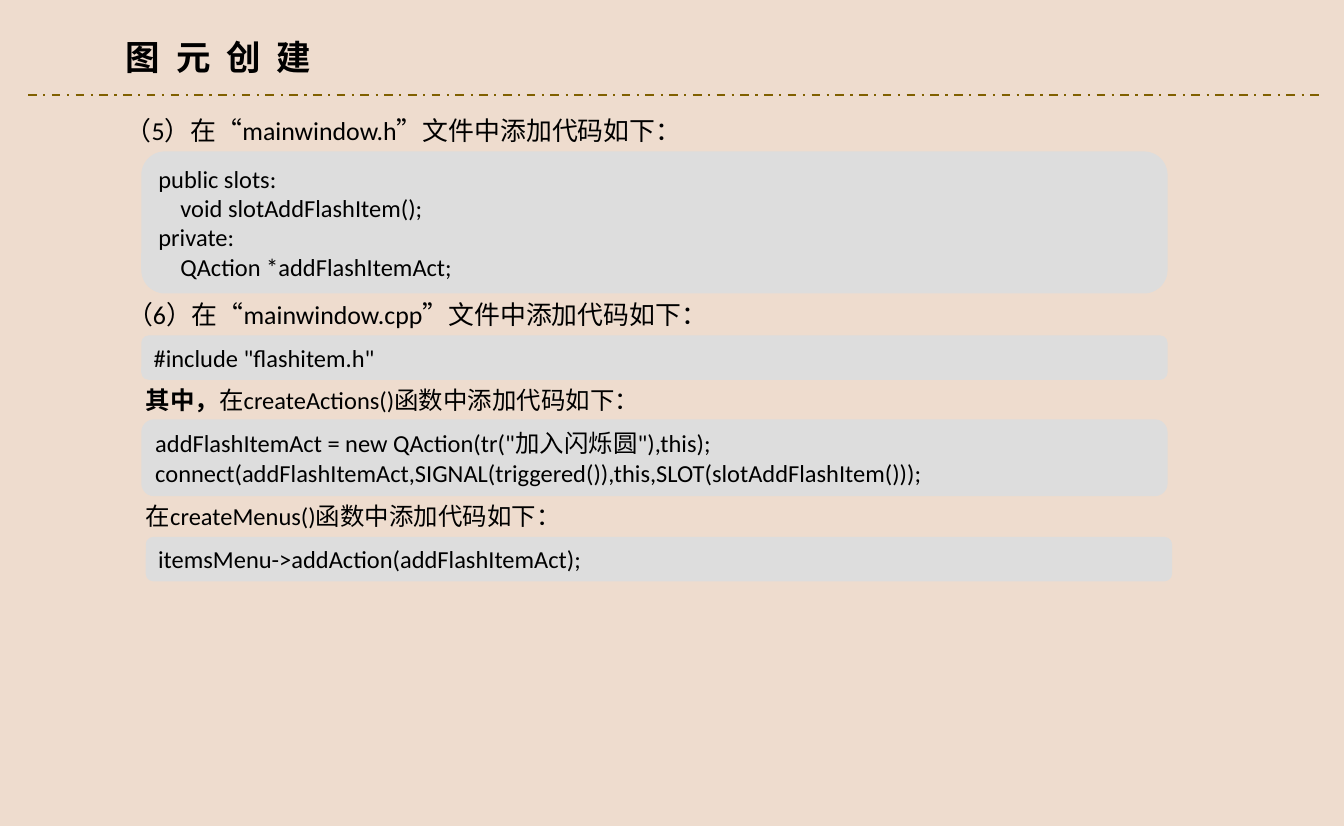
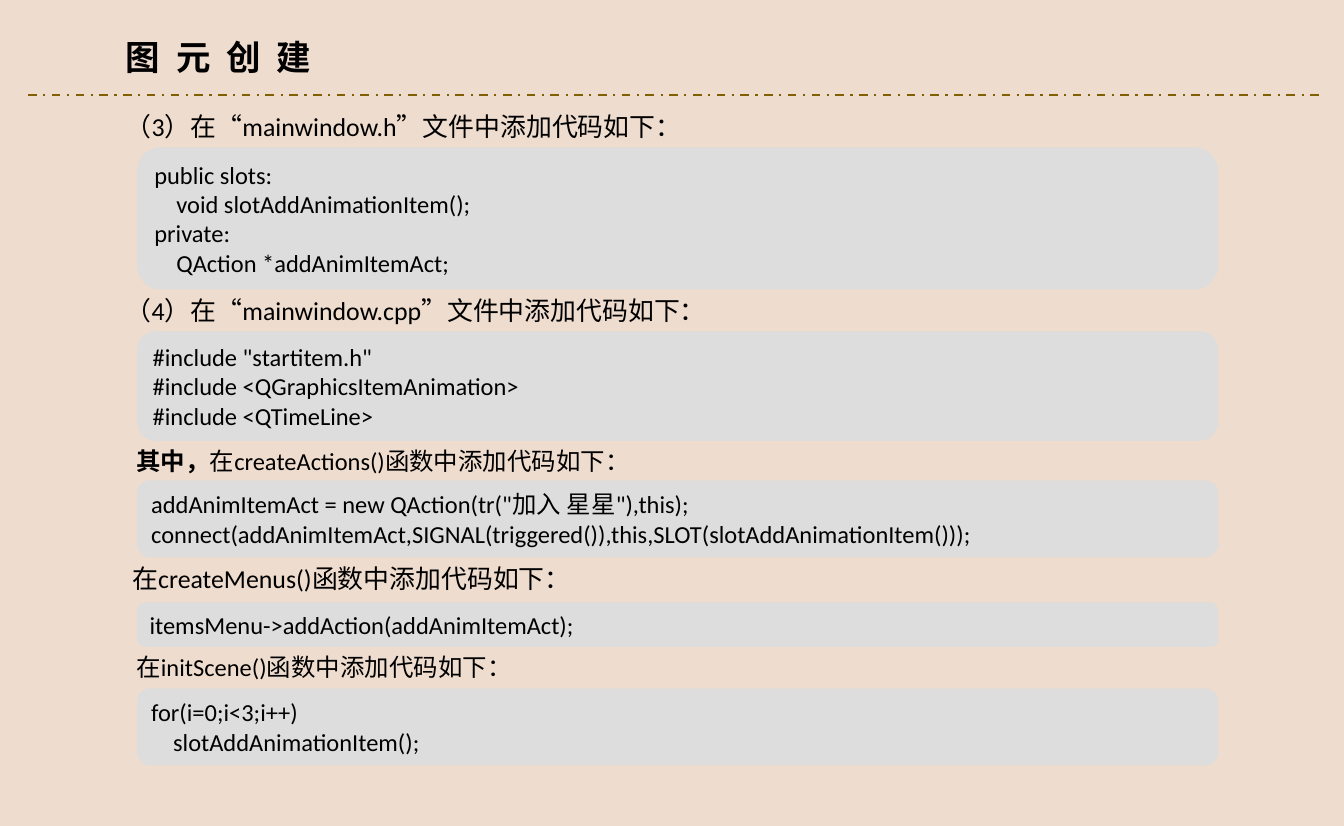
from dataclasses import dataclass

from lxml import etree
from pptx import Presentation
from pptx.dml.color import RGBColor
from pptx.enum.dml import MSO_LINE
from pptx.enum.lang import MSO_LANGUAGE_ID
from pptx.enum.shapes import MSO_CONNECTOR, MSO_SHAPE
from pptx.enum.text import MSO_ANCHOR, MSO_AUTO_SIZE, PP_ALIGN
from pptx.oxml.ns import qn
from pptx.util import Cm, Pt

DASH_DOT = MSO_LINE.DASH_DOT
CHINESE = MSO_LANGUAGE_ID.SIMPLIFIED_CHINESE
STRAIGHT = MSO_CONNECTOR.STRAIGHT
ROUNDED = MSO_SHAPE.ROUNDED_RECTANGLE
MIDDLE = MSO_ANCHOR.MIDDLE
FIT_SHAPE = MSO_AUTO_SIZE.SHAPE_TO_FIT_TEXT
LEFT = PP_ALIGN.LEFT


@dataclass(frozen=True)
class Theme:
    """Colours, type sizes and spacing in points or centimetres."""
    font: str = "Calibri"
    paper: RGBColor = RGBColor(0xEE, 0xDC, 0xCE)
    ink: RGBColor = RGBColor(0, 0, 0)
    rule: RGBColor = RGBColor(0x80, 0x60, 0x00)
    panel: RGBColor = RGBColor(0xDD, 0xDD, 0xDD)
    title_size: int = 24
    title_tracking: float = 2.8
    step_size: int = 18
    body_size: int = 17
    code_indent: float = 0.54
    code_padding: float = 0.29
    code_line: float = 0.8
    step_height: float = 1.03
    note_height: float = 0.97


THEME = Theme()


@dataclass(frozen=True)
class Section:
    """A caption with the code listed under it."""
    caption: str
    left: float
    width: float
    code: tuple
    size: int = THEME.body_size
    lead: str = ""
    wrap: bool = False
    code_shift: float = 0
    code_drop: float = 0


@dataclass(frozen=True)
class Page:
    """One slide: where its listings sit and what they hold."""
    top: float
    code_left: float
    code_width: float
    sections: tuple


PAGES = (
    Page(2.69, 3.47, 25.2, (
        Section("（5）在“mainwindow.h”文件中添加代码如下：", 2.84, 14.3,
                ("public slots:", "\tvoid slotAddFlashItem();",
                 "private:", "\tQAction *addFlashItemAct;"),
                size=THEME.step_size),
        Section("（6）在“mainwindow.cpp”文件中添加代码如下：", 2.87, 14.91,
                ('#include "flashitem.h"',), size=THEME.step_size),
        Section("在createActions()函数中添加代码如下：", 3.33, 12.75,
                ('addFlashItemAct = new QAction(tr("加入闪烁圆"),this);',
                 "connect(addFlashItemAct,SIGNAL(triggered()),this,"
                 "SLOT(slotAddFlashItem()));"), lead="其中，"),
        Section("在createMenus()函数中添加代码如下：", 3.33, 10.77,
                ("itemsMenu->addAction(addFlashItemAct);",),
                code_shift=0.11, code_drop=0.03),
    )),
    Page(2.59, 3.37, 26.54, (
        Section("（3）在“mainwindow.h”文件中添加代码如下：", 2.84, 14.3,
                ("public slots:", "\tvoid slotAddAnimationItem();",
                 "private:", "\tQAction *addAnimItemAct;"),
                size=THEME.step_size),
        Section("（4）在“mainwindow.cpp”文件中添加代码如下：", 2.84, 14.91,
                ('#include "startitem.h"', "#include <QGraphicsItemAnimation>",
                 "#include <QTimeLine>"), size=THEME.step_size),
        Section("在createActions()函数中添加代码如下：", 3.1, 12.75,
                ('addAnimItemAct = new QAction(tr("加入 星星"),this);',
                 "connect(addAnimItemAct,SIGNAL(triggered()),this,"
                 "SLOT(slotAddAnimationItem()));"), lead="其中，"),
        Section("在createMenus()函数中添加代码如下：", 3, 11.38,
                ("itemsMenu->addAction(addAnimItemAct);",),
                size=THEME.step_size, code_drop=0.08),
        Section("在initScene()函数中添加代码如下：", 3.1, 16.51,
                ("for(i=0;i<3;i++)", "\tslotAddAnimationItem();"),
                wrap=True, code_drop=0.05),
    )),
)


def write_text(frame, lines, *, size=THEME.body_size, bold=False, lead="",
               tracking=0, wrap=True):
    """Fill a frame with lines; a leading tab indents, lead opens in bold."""
    frame.word_wrap = wrap
    frame.auto_size = FIT_SHAPE
    for number, line in enumerate(lines):
        paragraph = frame.add_paragraph() if number else frame.paragraphs[0]
        paragraph.alignment = LEFT
        if line.startswith("\t"):
            properties = paragraph._p.get_or_add_pPr()
            properties.set("marL", str(Cm(THEME.code_indent)))
        for words, strong in ((lead, True), (line.lstrip("\t"), bold)):
            if not words:
                continue
            run = paragraph.add_run()
            run.text = words
            run.font.name = THEME.font
            run.font.size = Pt(size)
            run.font.bold = strong
            run.font.color.rgb = THEME.ink
            run.font.language_id = CHINESE
            if tracking:
                run.font._element.set("spc", str(round(tracking * 100)))


def add_label(slide, words, left, top, width, height, **text_format):
    """Place a text box holding one line."""
    label = slide.shapes.add_textbox(Cm(left), Cm(top), Cm(width), Cm(height))
    write_text(label.text_frame, [words], **text_format)


def add_code(slide, lines, left, top, width):
    """Place a rounded code panel and return its height."""
    height = THEME.code_padding + THEME.code_line * len(lines)
    panel = slide.shapes.add_shape(ROUNDED, Cm(left), Cm(top), Cm(width), Cm(height))
    panel.shadow.inherit = False
    panel.fill.solid()
    panel.fill.fore_color.rgb = THEME.panel
    panel.line.fill.background()
    panel.text_frame.vertical_anchor = MIDDLE
    write_text(panel.text_frame, lines)
    return height


def add_title(slide):
    """Place the heading common to the slides."""
    add_label(slide, "图 元 创 建", 2.84, 0.75, 5.1, 1.27,
              size=THEME.title_size, bold=True, tracking=THEME.title_tracking,
              wrap=False)


def style_layout(layout, slide):
    """Give the layout its background and the rule under the title."""
    layout.background.fill.solid()
    layout.background.fill.fore_color.rgb = THEME.paper
    for placeholder in list(layout.placeholders):
        layout.shapes.element.remove(placeholder.element)
    rule = slide.shapes.add_connector(STRAIGHT, Cm(0.69), Cm(2.34), Cm(32.49), Cm(2.34))
    rule.line.color.rgb = THEME.rule
    rule.line.width = Pt(1.5)
    rule.line.dash_style = DASH_DOT
    etree.SubElement(rule.element.spPr, qn("a:effectLst"))
    layout.shapes.element.append(rule.element)


def add_sections(slide, page):
    """Stack the captions and code panels down the slide."""
    top = page.top
    for section in page.sections:
        is_step = section.size == THEME.step_size
        height = THEME.step_height if is_step else THEME.note_height
        add_label(slide, section.caption, section.left, top, section.width,
                  height, size=section.size, lead=section.lead,
                  wrap=section.wrap)
        top += height + section.code_drop
        top += add_code(slide, section.code, page.code_left + section.code_shift,
                        top, page.code_width)


def main():
    """Build and save the presentation."""
    deck = Presentation()
    deck.slide_width, deck.slide_height = Cm(33), Cm(20.29)
    blank = deck.slide_layouts[6]
    for number, page in enumerate(PAGES):
        slide = deck.slides.add_slide(blank)
        if number == 0:
            style_layout(blank, slide)
        add_title(slide)
        add_sections(slide, page)
    deck.save("out.pptx")


if __name__ == "__main__":
    main()
